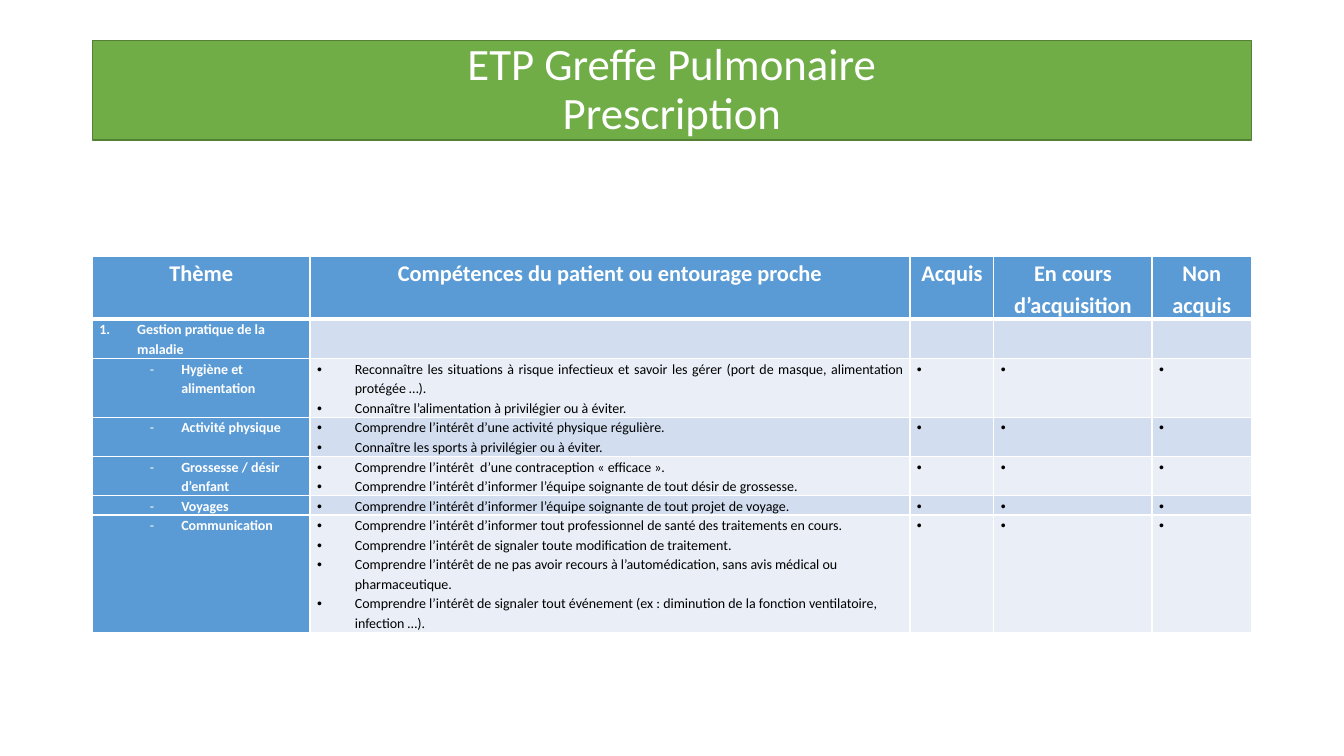
from lxml import etree
from pptx import Presentation
from pptx import util as u
from pptx.dml import color
from pptx.enum import shapes, text
from pptx.oxml import ns

GREEN, DARK_GREEN, BLUE = "70AD47", "538035", "5B9BD5"
BANDS = ("EAEFF7", "D2DEEF")
WHITE, BLACK = "FFFFFF", "000000"
LEFT, WIDTH = 66, 828
LINE_HEIGHT, HEADER_HEIGHT = 14, 45
COLUMN_WIDTHS = (155.5, 428.5, 60, 113, 71)
HEADERS = ("Thème", "Compétences du patient ou entourage proche", "Acquis",
           "En cours d’acquisition", "Non acquis")
SECTION = "Gestion pratique de la maladie"

# Theme, number of text lines in the row, competences
THEMES = (
    ("Hygiène et alimentation", 3, (
        "Reconnaître les situations à risque infectieux et savoir les gérer "
        "(port de masque, alimentation protégée …).",
        "Connaître l’alimentation à privilégier ou à éviter.")),
    ("Activité physique", 2, (
        "Comprendre l’intérêt d’une activité physique régulière.",
        "Connaître les sports à privilégier ou à éviter.")),
    ("Grossesse / désir d’enfant", 2, (
        "Comprendre l’intérêt  d’une contraception «\u00a0efficace\u00a0».",
        "Comprendre l’intérêt d’informer l’équipe soignante de tout désir de grossesse.")),
    ("Voyages", 1, (
        "Comprendre l’intérêt d’informer l’équipe soignante de tout projet de voyage.",)),
    ("Communication", 6, (
        "Comprendre l’intérêt d’informer tout professionnel de santé des traitements en cours.",
        "Comprendre l’intérêt de signaler toute modification de traitement.",
        "Comprendre l’intérêt de ne pas avoir recours à l’automédication, "
        "sans avis médical ou pharmaceutique.",
        "Comprendre l’intérêt de signaler tout événement (ex\u00a0: diminution "
        "de la fonction ventilatoire, infection …).")),
)

# Bullet formats: left margin, hanging indent, tag, attributes, typeface
NUMBER = (27, -27, "a:buAutoNum", {"type": "arabicPeriod"}, "Calibri")
DASH = (58.5, -22.5, "a:buChar", {"char": "-"}, "Calibri")
DOT = (27, -27, "a:buChar", {"char": "•"}, "Arial")


def rgb(value):
    """Turn a hex string into a colour."""
    return color.RGBColor.from_string(value)


def add_xml(parent, tag, **attributes):
    """Append an XML element and return it."""
    return etree.SubElement(parent, ns.qn(tag), attributes)


def set_all(target, values):
    """Set attributes from a dict of format values."""
    for name, value in values.items():
        setattr(target, name, value)


class SlideBuilder:
    """Holds the text style and the current slide."""

    def __init__(self, slide, font="Calibri"):
        """Keep the slide and its font."""
        self.slide = slide
        self.font = font

    def paragraphs(self, frame, lines, size, ink, bold=False, align=None,
                   spacing=1.15, bullet=None):
        """Fill a text frame with one paragraph per line."""
        for index, line in enumerate(lines):
            paragraph = frame.add_paragraph() if index else frame.paragraphs[0]
            paragraph.text = line
            set_all(paragraph, {"alignment": align, "line_spacing": spacing})
            for run in paragraph.runs:
                set_all(run.font, {"name": self.font, "size": u.Pt(size), "bold": bold})
                run.font.color.rgb = rgb(ink)
            if bullet:
                self.bullet(paragraph, *bullet)

    def bullet(self, paragraph, margin, indent, tag, attributes, typeface):
        """Give a paragraph a hanging bullet or number."""
        properties = paragraph._p.get_or_add_pPr()
        properties.set("marL", str(u.Pt(margin)))
        properties.set("indent", str(u.Pt(indent)))
        add_xml(properties, "a:buFont", typeface=typeface)
        add_xml(properties, tag, **attributes)

    def banner(self, content, left, top, width, height):
        """Draw the title bar."""
        shape = self.slide.shapes.add_shape(
            shapes.MSO_SHAPE.RECTANGLE, *map(u.Pt, (left, top, width, height)))
        shape.shadow.inherit = False
        shape.fill.solid()
        shape.fill.fore_color.rgb = rgb(GREEN)
        shape.line.color.rgb = rgb(DARK_GREEN)
        shape.line.width = u.Pt(1)
        set_all(shape.text_frame, {"word_wrap": True,
                                   "vertical_anchor": text.MSO_ANCHOR.MIDDLE})
        self.paragraphs(shape.text_frame, [content], 32, WHITE,
                        align=text.PP_ALIGN.CENTER, spacing=0.9)

    def table(self, left, top, widths, heights):
        """Add an unstyled table and return it."""
        frame = self.slide.shapes.add_table(
            len(heights), len(widths),
            *map(u.Pt, (left, top, sum(widths), sum(heights))))
        table = frame.table
        set_all(table, {"first_row": False, "horz_banding": False})
        for column, width in zip(table.columns, widths):
            column.width = u.Pt(width)
        for row, height in zip(table.rows, heights):
            row.height = u.Pt(height)
        return table

    def cell(self, cell, fill, lines=(), size=10, ink=WHITE, top=1, bottom=1, **style):
        """Format one cell: margins, white borders, fill and text."""
        set_all(cell, {"margin_left": u.Pt(5), "margin_right": u.Pt(5),
                       "margin_top": u.Pt(0), "margin_bottom": u.Pt(0)})
        properties = cell._tc.get_or_add_tcPr()
        for side, width in zip("LRTB", (1, 1, top, bottom)):
            line = add_xml(properties, f"a:ln{side}", w=str(u.Pt(width)))
            add_xml(add_xml(line, "a:solidFill"), "a:srgbClr", val=WHITE)
        cell.fill.solid()
        cell.fill.fore_color.rgb = rgb(fill)
        self.paragraphs(cell.text_frame, lines, size, ink, **style)


def build_competences(builder):
    """Build the table of themes and competences."""
    heights = [HEADER_HEIGHT, 2 * LINE_HEIGHT]
    heights += [lines * LINE_HEIGHT for _, lines, _ in THEMES]
    table = builder.table(LEFT, 183, COLUMN_WIDTHS, heights)
    for column, header in enumerate(HEADERS):
        builder.cell(table.cell(0, column), BLUE, [header], 16, bold=True, bottom=3,
                     align=text.PP_ALIGN.CENTER)
    builder.cell(table.cell(1, 0), BLUE, [SECTION], bold=True, top=3, bullet=NUMBER)
    for column in range(1, len(HEADERS)):
        builder.cell(table.cell(1, column), BANDS[1], top=3)
    for row, (theme, _, competences) in enumerate(THEMES, start=2):
        band = BANDS[row % 2]
        last = row == len(THEMES) + 1
        align = text.PP_ALIGN.LEFT if last else text.PP_ALIGN.JUSTIFY
        builder.cell(table.cell(row, 0), BLUE, [theme], bold=True, bullet=DASH)
        builder.cell(table.cell(row, 1), band, competences, ink=BLACK,
                     align=align, bullet=DOT)
        for column in range(2, len(HEADERS)):
            builder.cell(table.cell(row, column), band, [" "], ink=BLACK, bullet=DOT)


def main():
    """Create the presentation."""
    presentation = Presentation()
    set_all(presentation, {"slide_width": u.Pt(960), "slide_height": u.Pt(540)})
    builder = SlideBuilder(presentation.slides.add_slide(presentation.slide_layouts[6]))
    builder.banner("ETP Greffe Pulmonaire\vPrescription", LEFT, 29, WIDTH, 71)
    build_competences(builder)
    presentation.save("out.pptx")


main()
